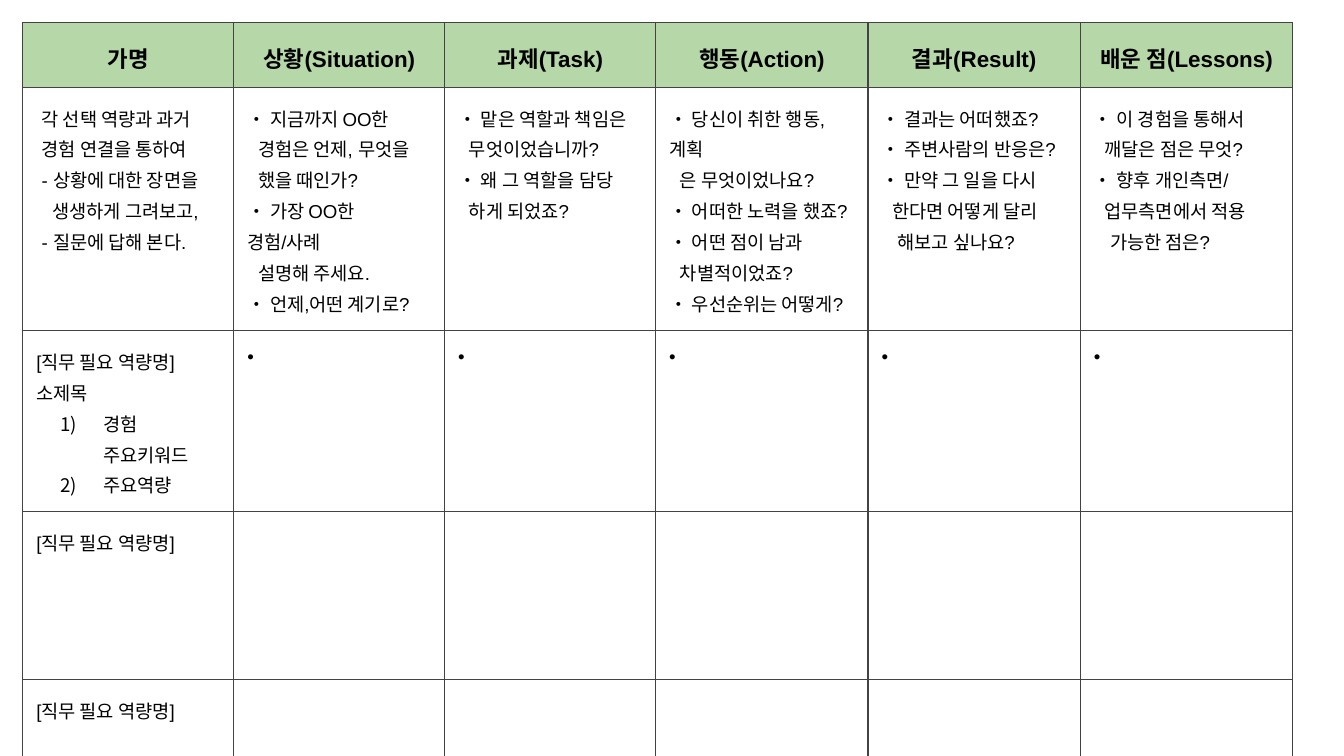
from lxml import etree
from pptx import Presentation
from pptx.dml.color import RGBColor
from pptx.enum import text
from pptx.oxml import ns
from pptx.util import Inches, Pt

COLORS = {"header": "B6D7A8", "border": "434343", "ink": "000000"}
FONT = "Arial"
STEP = 0.04  # inches per indent step, one space wide at 10 pt
COLUMNS = [1.57] * 3 + [1.58] * 3
ROWS = [0.34, 1.32, 1.07, 1.25, 0.96]
HEADERS = ["가명", "상황(Situation)", "과제(Task)", "행동(Action)",
           "결과(Result)", "배운 점(Lessons)"]

# Each line is (indent steps, wording)
GUIDES = [
    [(1, "각 선택 역량과 과거"), (1, "경험 연결을 통하여"),
     (1, "- 상황에 대한 장면을"), (3, "생생하게 그려보고,"),
     (1, "- 질문에 답해 본다.")],
    [(0, "• 지금까지 OO한"), (2, "경험은 언제, 무엇을"), (2, "했을 때인가?"),
     (0, "• 가장 OO한 경험/사례"), (2, "설명해 주세요."),
     (0, "• 언제,어떤 계기로?")],
    [(0, "• 맡은 역할과 책임은"), (2, "무엇이었습니까?"),
     (0, "• 왜 그 역할을 담당"), (2, "하게 되었죠?")],
    [(0, "• 당신이 취한 행동,계획"), (2, "은 무엇이었나요?"),
     (0, "• 어떠한 노력을 했죠?"), (0, "• 어떤 점이 남과"),
     (2, "차별적이었죠?"), (0, "• 우선순위는 어떻게?")],
    [(0, "• 결과는 어떠했죠?"), (0, "• 주변사람의 반응은?"),
     (0, "• 만약 그 일을 다시"), (2, "한다면 어떻게 달리"),
     (3, "해보고 싶나요?")],
    [(0, "• 이 경험을 통해서"), (2, "깨달은 점은 무엇?"),
     (0, "• 향후 개인측면/"), (2, "업무측면에서 적용"),
     (3, "가능한 점은?")],
]
SKILL = (0, "[직무 필요 역량명]")
KEYWORDS = ["경험 주요키워드", "주요역량"]


class Worksheet:
    """Holds the style and the current slide."""

    def __init__(self, deck):
        self.page = deck.slides.add_slide(deck.slide_layouts[6])

    def table(self, left, top, columns, rows):
        frame = self.page.shapes.add_table(
            len(rows), len(columns), Inches(left), Inches(top),
            Inches(sum(columns)), Inches(sum(rows)))
        grid = frame.table
        grid.first_row = grid.horz_banding = False
        for column, width in zip(grid.columns, columns):
            column.width = Inches(width)
        for row, height in zip(grid.rows, rows):
            row.height = Inches(height)
        for cell in grid.iter_cells():
            self.border(cell)
            cell.fill.background()
            cell.margin_left = cell.margin_right = Inches(0.1)
            cell.margin_top = cell.margin_bottom = Inches(0.1)
        return grid

    def border(self, cell):
        properties = cell._tc.get_or_add_tcPr()
        for side in ("lnL", "lnR", "lnT", "lnB"):
            line = etree.SubElement(properties, ns.qn("a:" + side), w=str(Pt(0.75)))
            fill = etree.SubElement(line, ns.qn("a:solidFill"))
            etree.SubElement(fill, ns.qn("a:srgbClr"), val=COLORS["border"])

    def line(self, cell, wording, size=10, bold=False):
        """Add a paragraph, using the cell's first one if it is still empty."""
        frame = cell.text_frame
        para = frame.paragraphs[0] if not frame.text else frame.add_paragraph()
        para.line_spacing = 1.15
        span = para.add_run()
        span.text = wording
        span.font.name = FONT
        span.font.size = Pt(size)
        span.font.bold = bold
        span.font.color.rgb = RGBColor.from_string(COLORS["ink"])
        return para

    def header(self, cell, wording):
        cell.fill.solid()
        cell.fill.fore_color.rgb = RGBColor.from_string(COLORS["header"])
        self.line(cell, wording, 12, True).alignment = text.PP_ALIGN.CENTER

    def lines(self, cell, entries):
        for steps, wording in entries:
            para = self.line(cell, wording)
            if steps:
                self.indent(para, steps * STEP)

    def numbered(self, cell, entries):
        for wording in entries:
            properties = self.indent(self.line(cell, wording), 0.5, -0.32)
            color = etree.SubElement(properties, ns.qn("a:buClr"))
            etree.SubElement(color, ns.qn("a:srgbClr"), val=COLORS["ink"])
            etree.SubElement(properties, ns.qn("a:buAutoNum"), type="arabicParenR")

    def indent(self, para, left, first=0):
        properties = para._p.get_or_add_pPr()
        properties.set("marL", str(Inches(left)))
        properties.set("indent", str(Inches(first)))
        return properties


def main():
    deck = Presentation()
    deck.slide_width = Inches(10)
    deck.slide_height = deck.slide_width * 9 // 16
    sheet = Worksheet(deck)
    grid = sheet.table(0.17, 0.17, COLUMNS, ROWS)

    for index, (heading, guide) in enumerate(zip(HEADERS, GUIDES)):
        sheet.header(grid.cell(0, index), heading)
        sheet.lines(grid.cell(1, index), guide)
        if index:
            sheet.lines(grid.cell(2, index), [(0, "•")])

    sheet.lines(grid.cell(2, 0), [SKILL, (0, "소제목")])
    sheet.numbered(grid.cell(2, 0), KEYWORDS)
    for row in (3, 4):
        sheet.lines(grid.cell(row, 0), [SKILL])

    deck.save("out.pptx")


if __name__ == "__main__":
    main()
